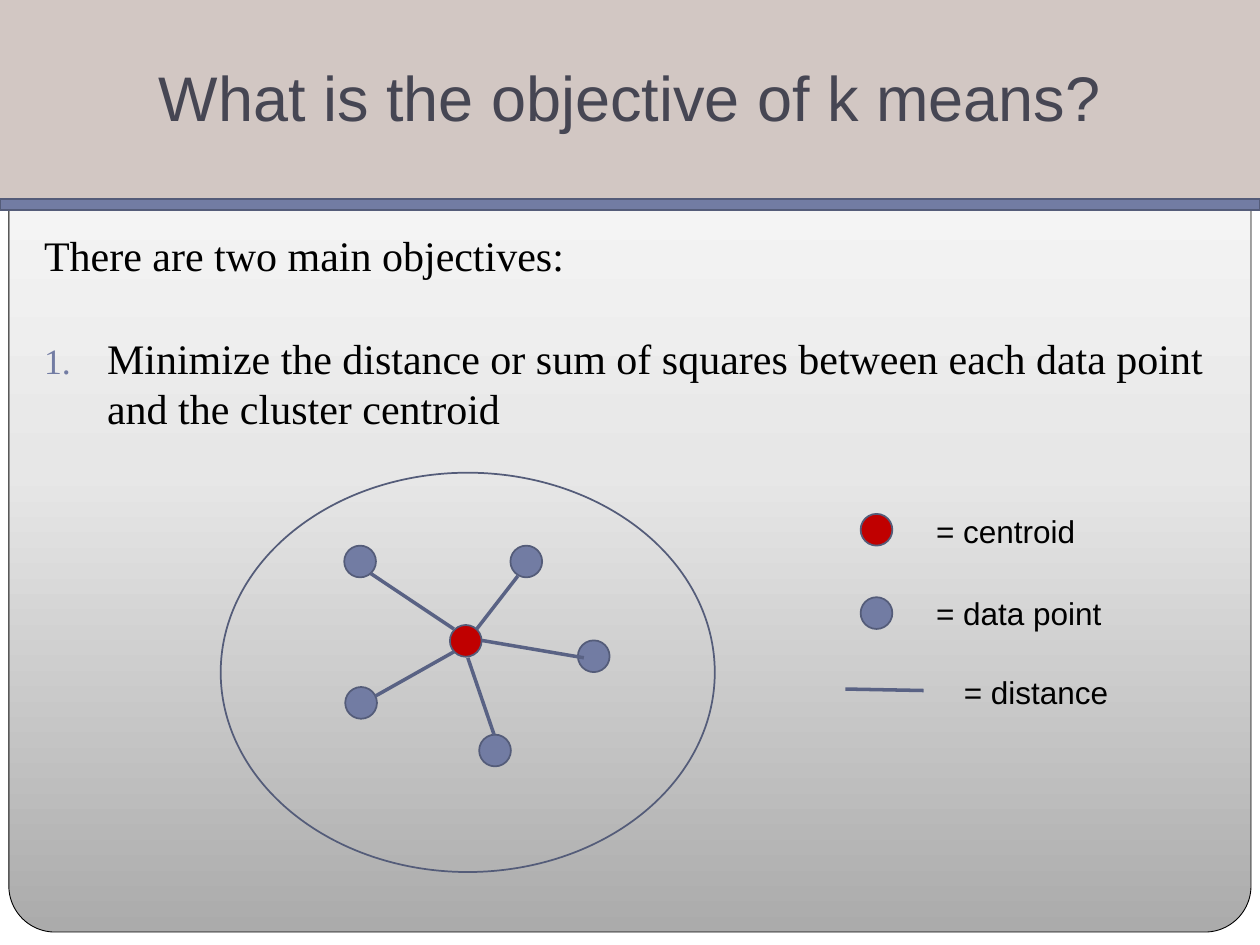
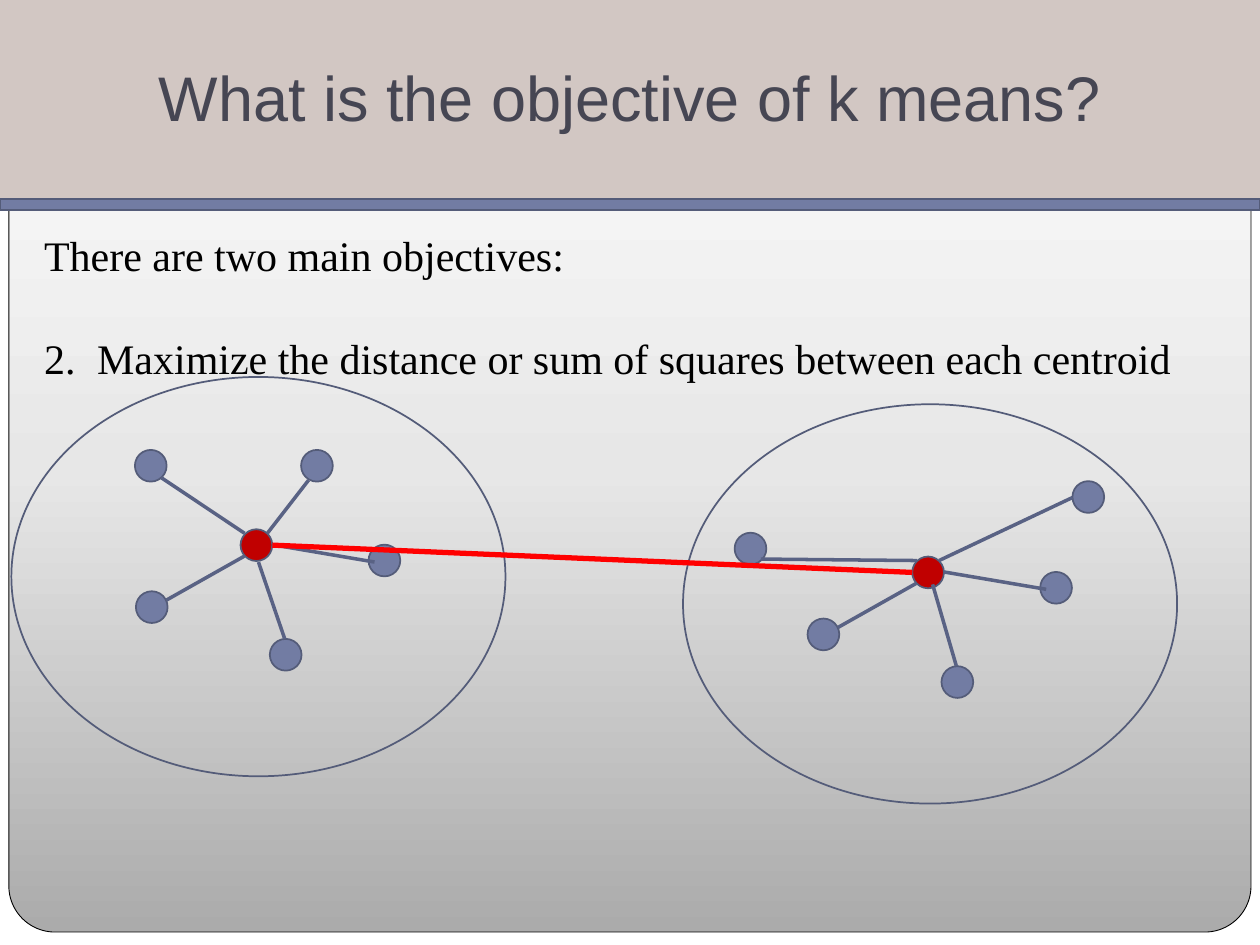
from dataclasses import dataclass

from lxml.etree import SubElement
from pptx import Presentation
from pptx.dml.color import RGBColor
from pptx.enum.shapes import MSO_CONNECTOR, MSO_SHAPE
from pptx.enum.text import MSO_ANCHOR, MSO_AUTO_SIZE, PP_ALIGN
from pptx.oxml.ns import qn
from pptx.util import Cm, Pt

COLORS = {
    "band": "D2C7C3",
    "title": "464653",
    "accent": "727CA3",
    "outline": "545C79",
    "distance": "596284",
    "centroid": "C00000",
    "link": "FF0000",
    "text": "000000",
    "white": "FFFFFF",
    "panel_dark": "ABABAB",
    "panel_middle": "E7E7E7",
}
TITLE = "What is the objective of k means?"
INTRODUCTION = "There are two main objectives:"
TITLE_FONT = {"name": "Arial", "size": Pt(36), "bold": False}
BODY_FONT = {"name": "Times New Roman", "size": Pt(24)}
LABEL_FONT = {"name": "Arial", "size": Pt(18)}
TITLE_FRAME = {
    "word_wrap": True,
    "auto_size": MSO_AUTO_SIZE.NONE,
    "vertical_anchor": MSO_ANCHOR.MIDDLE,
    "margin_left": Cm(0.25),
    "margin_right": Cm(0.25),
    "margin_top": Cm(0.13),
    "margin_bottom": Cm(0.25),
}
SLIDE_WIDTH, SLIDE_HEIGHT = 25.4, 19.05
BAND_HEIGHT = 4.02
DOT = 0.64
CLUSTER_SIZE = (9.96, 8.05)
CENTROID = (4.62, 3.07)

Position = tuple[float, float]


@dataclass(frozen=True)
class Member:
    dot: Position
    start: Position
    end: Position


@dataclass(frozen=True)
class Cluster:
    origin: Position
    members: tuple[Member, ...]

    def place(self, offset: Position) -> Position:
        return self.origin[0] + offset[0], self.origin[1] + offset[1]


@dataclass(frozen=True)
class LegendLabel:
    text: str
    position: Position
    width: float


LOWER_LEFT = Member((2.51, 4.32), (3.12, 4.5), (4.7, 3.61))
LOWER = Member((5.21, 5.28), (4.98, 3.73), (5.51, 5.28))
RIGHT = Member((7.2, 3.38), (5.26, 3.38), (7.32, 3.73))
COMPACT = (
    LOWER_LEFT,
    Member((2.49, 1.47), (3.02, 2.03), (4.7, 3.15)),
    LOWER,
    RIGHT,
    Member((5.84, 1.47), (5.99, 2.08), (5.16, 3.15)),
)
SPREAD = (
    LOWER_LEFT,
    Member((1.04, 2.59), (1.57, 3.12), (4.72, 3.15)),
    Member(LOWER.dot, (5.03, 3.63), LOWER.end),
    RIGHT,
    Member((7.85, 1.55), (7.85, 1.88), (5.16, 3.15)),
)
LEGEND_LABELS = (
    LegendLabel("= centroid", (18.62, 10.19), 3.35),
    LegendLabel("= data point", (18.62, 11.86), 3.89),
    LegendLabel("= distance", (19.18, 13.44), 3.45),
)
LEGEND_DOTS = {"centroid": (17.35, 10.36), "accent": (17.35, 12.04)}


def color(name: str) -> RGBColor:
    return RGBColor.from_string(COLORS[name])


def apply_format(target, values: dict) -> None:
    for attribute, value in values.items():
        setattr(target, attribute, value)


def write(paragraph, text: str, font: dict, color_name: str = "text") -> None:
    run = paragraph.add_run()
    run.text = text
    apply_format(run.font, font)
    run.font.color.rgb = color(color_name)


def set_box(shape, left: float, top: float, width: float, height: float) -> None:
    values = {"left": left, "top": top, "width": width, "height": height}
    apply_format(shape, {name: Cm(value) for name, value in values.items()})


def draw_shape(slide, kind, position: Position, size: Position,
               fill: str | None, line: str = "outline", weight: float = 1):
    shape = slide.shapes.add_shape(kind, *(Cm(value) for value in position + size))
    shape.shadow.inherit = False
    if fill:
        shape.fill.solid()
        shape.fill.fore_color.rgb = color(fill)
    else:
        shape.fill.background()
    shape.line.color.rgb = color(line)
    shape.line.width = Pt(weight)
    return shape


def draw_dot(slide, position: Position, fill: str) -> None:
    draw_shape(slide, MSO_SHAPE.OVAL, position, (DOT, DOT), fill)


def draw_line(slide, start: Position, end: Position,
              line: str = "distance", weight: float = 2) -> None:
    connector = slide.shapes.add_connector(
        MSO_CONNECTOR.STRAIGHT, *(Cm(value) for value in start + end))
    connector.line.color.rgb = color(line)
    connector.line.width = Pt(weight)
    SubElement(connector.element.spPr, qn("a:effectLst"))


def draw_panel(slide) -> None:
    panel = draw_shape(slide, MSO_SHAPE.ROUNDED_RECTANGLE, (0.18, 0.2),
                       (25.04, 18.59), "white", "text", 0.5)
    panel.adjustments[0] = 0.05
    panel.fill.gradient()
    panel.fill.gradient_angle = 90
    stops = panel.element.spPr.find(qn("a:gradFill")).find(qn("a:gsLst"))
    stops.clear()
    for percent, name in ((0, "panel_dark"), (50, "panel_middle"), (100, "white")):
        stop = SubElement(stops, qn("a:gs"), pos=str(percent * 1000))
        SubElement(stop, qn("a:srgbClr"), val=COLORS[name])
    slide.shapes.title.element.addprevious(panel.element)


def set_hanging_indent(paragraph, indent: float):
    properties = paragraph._p.get_or_add_pPr()
    properties.set("marL", str(Cm(indent)))
    properties.set("indent", str(-Cm(indent)))
    return properties


def number_paragraph(paragraph) -> None:
    properties = set_hanging_indent(paragraph, 1.27)
    bullet_color = SubElement(properties, qn("a:buClr"))
    SubElement(bullet_color, qn("a:srgbClr"), val=COLORS["accent"])
    SubElement(properties, qn("a:buSzPct"), val="85000")
    SubElement(properties, qn("a:buFont"), typeface=BODY_FONT["name"])
    SubElement(properties, qn("a:buAutoNum"), type="arabicPeriod")


def add_objective_slide(presentation, objective: str):
    slide = presentation.slides.add_slide(presentation.slide_layouts[5])
    slide.background.fill.solid()
    slide.background.fill.fore_color.rgb = color("white")
    draw_panel(slide)

    title = slide.shapes.title
    set_box(title, 0, 0, SLIDE_WIDTH, BAND_HEIGHT)
    title.fill.solid()
    title.fill.fore_color.rgb = color("band")
    apply_format(title.text_frame, TITLE_FRAME)
    heading = title.text_frame.paragraphs[0]
    heading.alignment = PP_ALIGN.CENTER
    write(heading, TITLE, TITLE_FONT, "title")
    draw_shape(slide, MSO_SHAPE.RECTANGLE, (0, BAND_HEIGHT), (SLIDE_WIDTH, 0.21), "accent")

    body = slide.shapes.add_textbox(Cm(0.64), Cm(4.5), Cm(24.13), Cm(13.7))
    body.text_frame.word_wrap = True
    write(body.text_frame.paragraphs[0], INTRODUCTION, BODY_FONT)
    paragraph = body.text_frame.add_paragraph()
    paragraph.space_before = Pt(30)
    write(paragraph, objective, BODY_FONT)
    return slide, paragraph


def draw_cluster(slide, cluster: Cluster) -> None:
    for member in cluster.members:
        draw_dot(slide, cluster.place(member.dot), "accent")
    draw_dot(slide, cluster.place(CENTROID), "centroid")
    for member in cluster.members:
        draw_line(slide, cluster.place(member.start), cluster.place(member.end))
    draw_shape(slide, MSO_SHAPE.OVAL, cluster.origin, CLUSTER_SIZE, None)


def draw_centroid_link(slide, first: Cluster, second: Cluster) -> None:
    middle = CENTROID[1] + DOT / 2
    draw_line(slide, first.place((CENTROID[0] + DOT, middle)),
              second.place((CENTROID[0], middle)), "link", 3)


def draw_legend(slide) -> None:
    for fill, position in LEGEND_DOTS.items():
        draw_dot(slide, position, fill)
    draw_line(slide, (17.04, 13.89), (18.62, 13.92))
    for label in LEGEND_LABELS:
        box = slide.shapes.add_textbox(
            *(Cm(value) for value in label.position), Cm(label.width), Cm(1.02))
        box.text_frame.word_wrap = False
        write(box.text_frame.paragraphs[0], label.text, LABEL_FONT)


def main() -> None:
    presentation = Presentation()
    presentation.slide_width = Cm(SLIDE_WIDTH)
    presentation.slide_height = Cm(SLIDE_HEIGHT)

    slide, paragraph = add_objective_slide(
        presentation,
        "Minimize the distance or sum of squares between each data point "
        "and the cluster centroid")
    number_paragraph(paragraph)
    draw_cluster(slide, Cluster((4.45, 9.53), COMPACT))
    draw_legend(slide)

    slide, paragraph = add_objective_slide(
        presentation,
        "2.\tMaximize the distance or sum of squares between each centroid")
    set_hanging_indent(paragraph, 1.07)
    left_cluster = Cluster((0.23, 7.6), COMPACT)
    right_cluster = Cluster((13.77, 8.15), SPREAD)
    draw_cluster(slide, left_cluster)
    draw_cluster(slide, right_cluster)
    draw_centroid_link(slide, left_cluster, right_cluster)

    presentation.save("out.pptx")


if __name__ == "__main__":
    main()
